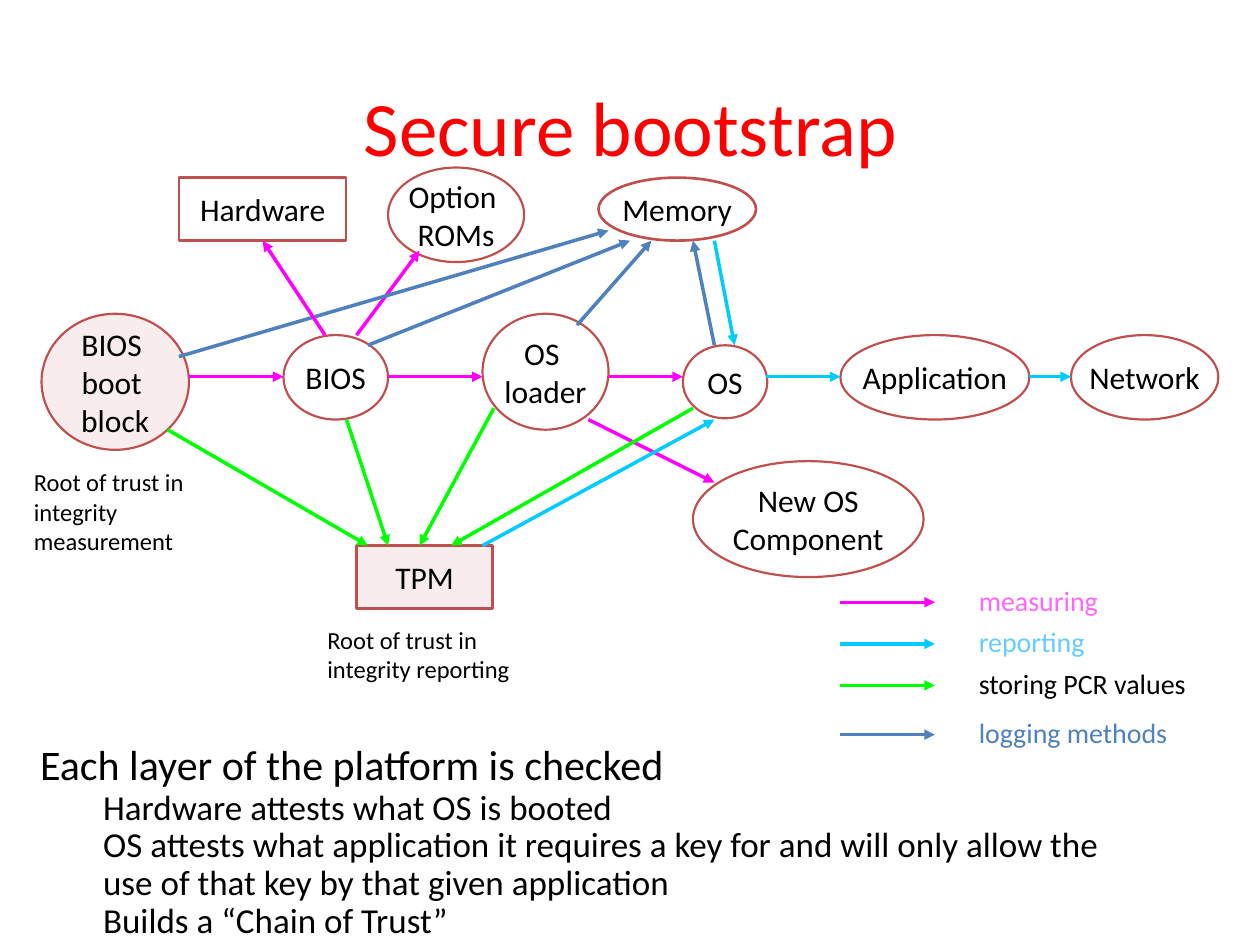
"""Builds the secure bootstrap slide: boot chain diagram, legend and summary."""
from lxml import etree
from pptx import Presentation
from pptx import util as u
from pptx.dml.color import RGBColor
from pptx.enum import shapes, text
from pptx.oxml.ns import qn

FONT, BLACK, OUTLINE = "Calibri", "000000", "C0504D"
ELLIPSE, RECT = shapes.MSO_SHAPE.OVAL, shapes.MSO_SHAPE.RECTANGLE
FLOW_Y = 2.99

NODES = [
    (["BIOS ", "boot ", "block"], ELLIPSE, (0.33, 2.49, 1.17, 1.08), 1.25, True),
    (["BIOS"], ELLIPSE, (2.25, 2.66, 0.83, 0.67), 1.25, False),
    (["OS ", "loader"], ELLIPSE, (3.83, 2.49, 1, 0.92), 1.25, False),
    (["OS"], ELLIPSE, (5.42, 2.74, 0.67, 0.58), 1.25, False),
    (["Application"], ELLIPSE, (6.67, 2.66, 1.5, 0.67), 1.25, False),
    (["Option ", "ROMs"], ELLIPSE, (3.08, 1.33, 1.08, 0.75), 1.25, False),
    (["TPM"], RECT, (2.83, 4.33, 1.08, 0.5), 1.5, True),
    (["Hardware"], RECT, (1.42, 1.41, 1.33, 0.5), 1.25, False),
    (["Network"], ELLIPSE, (8.5, 2.66, 1.17, 0.67), 1.25, False),
    (["Memory"], ELLIPSE, (4.75, 1.41, 1.25, 0.5), 1.5, False),
    (["New OS", "Component"], ELLIPSE, (5.5, 3.66, 1.83, 0.92), 1.25, False),
]

ARROWS = {
    "FF00FF": [
        (1.5, FLOW_Y, 2.25, FLOW_Y), (3.08, FLOW_Y, 3.83, FLOW_Y),
        (4.83, FLOW_Y, 5.42, FLOW_Y), (2.83, 2.66, 3.33, 1.99),
        (4.67, 3.33, 5.67, 3.83),
    ],
    "00CCFF": [
        (6.08, FLOW_Y, 6.67, FLOW_Y), (8.17, FLOW_Y, 8.5, FLOW_Y),
        (5.67, 1.91, 5.83, 2.74), (3.83, 4.33, 5.67, 3.33),
    ],
    "00FF00": [
        (1.33, 3.41, 2.92, 4.33), (2.75, 3.33, 3.08, 4.33),
        (3.92, 3.24, 3.33, 4.33), (5.5, 3.24, 3.58, 4.33),
    ],
    "4F81BD": [
        (1.42, 2.83, 4.83, 1.83), (2.92, 2.74, 5, 1.91),
        (4.58, 2.58, 5.17, 1.91), (5.67, 2.74, 5.5, 1.91),
    ],
}
BIOS_TO_HARDWARE = (2.58, 2.66, 2.08, 1.91)

LEGEND = [
    ("measuring", "FF00FF", "FF66FF", 4.78, 1.75),
    ("reporting", "00CCFF", "66CCFF", 5.11, 1.75),
    ("storing PCR values", "00FF00", BLACK, 5.44, 1.92),
    ("logging methods", "4F81BD", "4F81BD", 5.83, 2.17),
]

NOTES = [
    ("Root of trust in integrity measurement", (0.17, 3.66, 1.75, 0.8)),
    ("Root of trust in integrity reporting", (2.5, 4.91, 2, 0.57)),
]

SUMMARY = [
    ("Each layer of the platform is checked", 0, 24),
    ("Hardware attests what OS is booted", 1, 20),
    ("OS attests what application it requires a key for and will only allow the "
     "use of that key by that given application", 1, 20),
    ("Builds a “Chain of Trust”", 1, 20),
]


def rgb(color):
    return RGBColor.from_string(color)


def inches(lengths):
    return [u.Inches(length) for length in lengths]


def add_run(paragraph, words, size, color=BLACK):
    run = paragraph.add_run()
    run.text = words
    run.font.name, run.font.size = FONT, u.Pt(size)
    run.font.color.rgb = rgb(color)


def paragraphs(frame, count):
    return [frame.paragraphs[0]] + [frame.add_paragraph() for _ in range(count - 1)]


def add_node(slide, lines, kind, box, weight, trusted):
    node = slide.shapes.add_shape(kind, *inches(box))
    node.shadow.inherit = False
    node.line.color.rgb, node.line.width = rgb(OUTLINE), u.Pt(weight)
    if trusted:
        node.fill.solid()
        node.fill.fore_color.rgb = rgb(OUTLINE)
        tint = node.fill._xPr.find(qn("a:solidFill"))[0]
        etree.SubElement(tint, qn("a:alpha"), val="10000")
    else:
        node.fill.background()
    frame = node.text_frame
    frame.word_wrap = False
    frame.vertical_anchor = text.MSO_ANCHOR.MIDDLE
    for paragraph, line in zip(paragraphs(frame, len(lines)), lines):
        paragraph.alignment = text.PP_ALIGN.CENTER
        add_run(paragraph, line, 18)
    return node


def add_arrow(slide, ends, color):
    arrow = slide.shapes.add_connector(shapes.MSO_CONNECTOR.STRAIGHT, *inches(ends))
    arrow.line.color.rgb, arrow.line.width = rgb(color), u.Pt(2)
    etree.SubElement(arrow.line._get_or_add_ln(), qn("a:tailEnd"), type="triangle")
    etree.SubElement(arrow._element.spPr, qn("a:effectLst"))
    return arrow


def add_box(slide, box):
    frame = slide.shapes.add_textbox(*inches(box)).text_frame
    frame.word_wrap = True
    frame.auto_size = text.MSO_AUTO_SIZE.SHAPE_TO_FIT_TEXT
    return frame


def main():
    deck = Presentation()
    deck.slide_width, deck.slide_height = inches((10, 7.5))
    slide = deck.slides.add_slide(deck.slide_layouts[5])

    title = slide.shapes.title
    title.left, title.top, title.width, title.height = inches((0.63, 0.33, 8.75, 1.33))
    title.text_frame.vertical_anchor = text.MSO_ANCHOR.MIDDLE
    heading = title.text_frame.paragraphs[0]
    heading.alignment = text.PP_ALIGN.CENTER
    add_run(heading, "Secure bootstrap", 44, "FF0000")

    nodes = {node[0][0]: add_node(slide, *node) for node in NODES}
    for color, routes in ARROWS.items():
        for ends in routes:
            add_arrow(slide, ends, color)
    add_arrow(slide, BIOS_TO_HARDWARE, "FF00FF").end_connect(nodes["Hardware"], 2)

    for label, arrow_color, label_color, y, width in LEGEND:
        add_arrow(slide, (6.67, y, 7.42, y), arrow_color)
        frame = add_box(slide, (7.67, y - 0.2, width, 0.37))
        add_run(frame.paragraphs[0], label, 16, label_color)

    for note, box in NOTES:
        add_run(add_box(slide, box).paragraphs[0], note, 14)

    summary = add_box(slide, (0.22, 5.86, 8.8, 1.74))
    for paragraph, (words, level, size) in zip(paragraphs(summary, len(SUMMARY)), SUMMARY):
        paragraph.level, paragraph.line_spacing = level, 0.9
        add_run(paragraph, words, size)

    deck.save("out.pptx")


if __name__ == "__main__":
    main()
